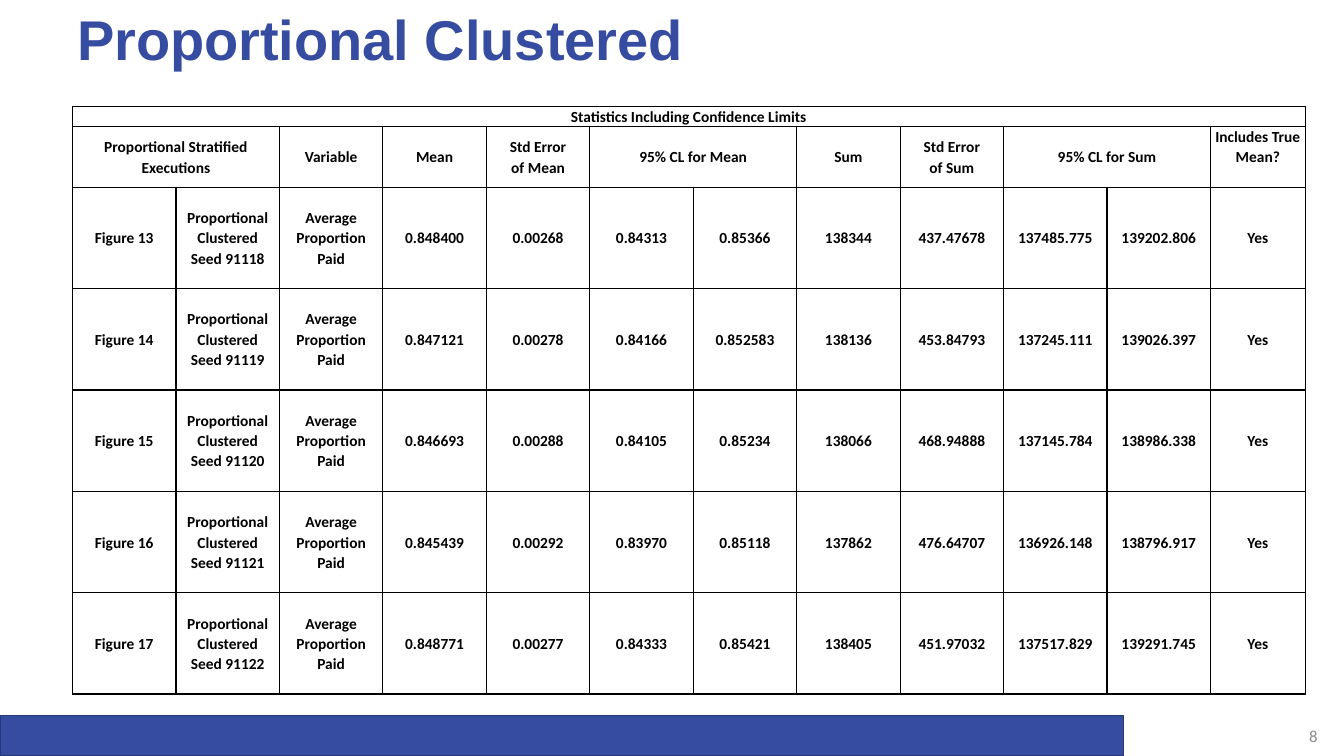
from lxml import etree
from pptx import Presentation
from pptx.dml.color import RGBColor
from pptx.enum.shapes import MSO_SHAPE
from pptx.enum.text import MSO_ANCHOR, PP_ALIGN
from pptx.oxml.ns import qn
from pptx.util import Pt

RECTANGLE = MSO_SHAPE.RECTANGLE
TOP, MIDDLE, BOTTOM = MSO_ANCHOR.TOP, MSO_ANCHOR.MIDDLE, MSO_ANCHOR.BOTTOM
LEFT, CENTER, RIGHT = PP_ALIGN.LEFT, PP_ALIGN.CENTER, PP_ALIGN.RIGHT

BLUE = RGBColor(0x35, 0x4C, 0xA1)
DARK_BLUE = RGBColor(0x27, 0x38, 0x77)
GRAY = RGBColor(0x8C, 0x8C, 0x8C)
BLACK = RGBColor(0x00, 0x00, 0x00)

CAPTION = "Statistics Including Confidence Limits"
# Heading and the number of columns it spans; \v is a line break.
HEADINGS = [
    ("Proportional Stratified Executions", 2),
    ("Variable", 1),
    ("Mean", 1),
    ("Std Error\vof Mean", 1),
    ("95% CL for Mean", 2),
    ("Sum", 1),
    ("Std Error\vof Sum", 1),
    ("95% CL for Sum", 2),
    ("Includes True Mean?", 1),
]
FIRST_FIGURE = 13
FIRST_SEED = 91118
RESULTS = [
    ("0.848400", "0.00268", "0.84313", "0.85366", "138344", "437.47678", "137485.775", "139202.806"),
    ("0.847121", "0.00278", "0.84166", "0.852583", "138136", "453.84793", "137245.111", "139026.397"),
    ("0.846693", "0.00288", "0.84105", "0.85234", "138066", "468.94888", "137145.784", "138986.338"),
    ("0.845439", "0.00292", "0.83970", "0.85118", "137862", "476.64707", "136926.148", "138796.917"),
    ("0.848771", "0.00277", "0.84333", "0.85421", "138405", "451.97032", "137517.829", "139291.745"),
]
COLUMN_WIDTHS = [73.9] * 11 + [67.6]
ROW_HEIGHTS = [14.4, 43.4] + [72.4] * len(RESULTS)


def style_paragraph(para, font_name, size, color, bold, align, spacing):
    para.alignment = align
    para.line_spacing = spacing
    para.font.name = font_name
    para.font.size = Pt(size)
    para.font.bold = bold
    para.font.color.rgb = color


def add_text(page, text, left, top, width, height, anchor, **style):
    box = page.shapes.add_textbox(Pt(left), Pt(top), Pt(width), Pt(height))
    frame = box.text_frame
    frame.word_wrap = True
    frame.vertical_anchor = anchor
    frame.text = text
    style_paragraph(frame.paragraphs[0], **style)


def add_footer_bar(page):
    bar = page.shapes.add_shape(RECTANGLE, 0, Pt(511.2), Pt(802.6), Pt(28.8))
    bar.shadow.inherit = False
    bar.fill.solid()
    bar.fill.fore_color.rgb = BLUE
    bar.line.color.rgb = DARK_BLUE
    bar.line.width = Pt(1)


def add_borders(cell):
    properties = cell._tc.get_or_add_tcPr()
    for side in ("a:lnL", "a:lnR", "a:lnT", "a:lnB"):
        line = etree.SubElement(properties, qn(side), w=str(Pt(1)))
        fill = etree.SubElement(line, qn("a:solidFill"))
        etree.SubElement(fill, qn("a:srgbClr"), val=str(BLACK))


def format_cell(cell):
    add_borders(cell)
    cell.fill.background()
    cell.margin_left = cell.margin_right = Pt(3)
    cell.margin_top = cell.margin_bottom = 0
    cell.vertical_anchor = MIDDLE
    style_paragraph(cell.text_frame.paragraphs[0], "Calibri", 11, BLACK, True, CENTER, 1.07)


def fill_headings(table):
    last = len(COLUMN_WIDTHS) - 1
    table.cell(0, 0).merge(table.cell(0, last))
    table.cell(0, 0).text = CAPTION
    column = 0
    for heading, span in HEADINGS:
        cell = table.cell(1, column)
        if span > 1:
            cell.merge(table.cell(1, column + span - 1))
        cell.text = heading
        column += span


def fill_results(table):
    for index, values in enumerate(RESULTS):
        labels = (
            f"Figure {FIRST_FIGURE + index}",
            f"Proportional Clustered Seed {FIRST_SEED + index}",
            "Average Proportion Paid",
        )
        for column, text in enumerate((*labels, *values, "Yes")):
            table.cell(index + 2, column).text = text


def add_statistics_table(page):
    frame = page.shapes.add_table(
        len(ROW_HEIGHTS), len(COLUMN_WIDTHS), Pt(51.8), Pt(76),
        Pt(sum(COLUMN_WIDTHS)), Pt(sum(ROW_HEIGHTS)))
    table = frame.table
    table.first_row = False
    table.horz_banding = False
    for column, width in zip(table.columns, COLUMN_WIDTHS):
        column.width = Pt(width)
    for row, height in zip(table.rows, ROW_HEIGHTS):
        row.height = Pt(height)
    fill_headings(table)
    fill_results(table)
    for cell in table.iter_cells():
        format_cell(cell)
    for row, column in ((0, 0), (1, len(COLUMN_WIDTHS) - 1)):
        table.cell(row, column).vertical_anchor = TOP


def main():
    deck = Presentation()
    deck.slide_width, deck.slide_height = Pt(960), Pt(540)
    page = deck.slides.add_slide(deck.slide_layouts[6])
    add_footer_bar(page)
    add_text(page, "8", 925.2, 511.2, 23, 28.8, MIDDLE, font_name="Calibri",
             size=12, color=GRAY, bold=False, align=RIGHT, spacing=1)
    add_text(page, "Proportional Clustered", 48, 0, 864, 55.4, BOTTOM, font_name="Arial",
             size=40, color=BLUE, bold=True, align=LEFT, spacing=0.9)
    add_statistics_table(page)
    deck.save("out.pptx")


if __name__ == "__main__":
    main()
